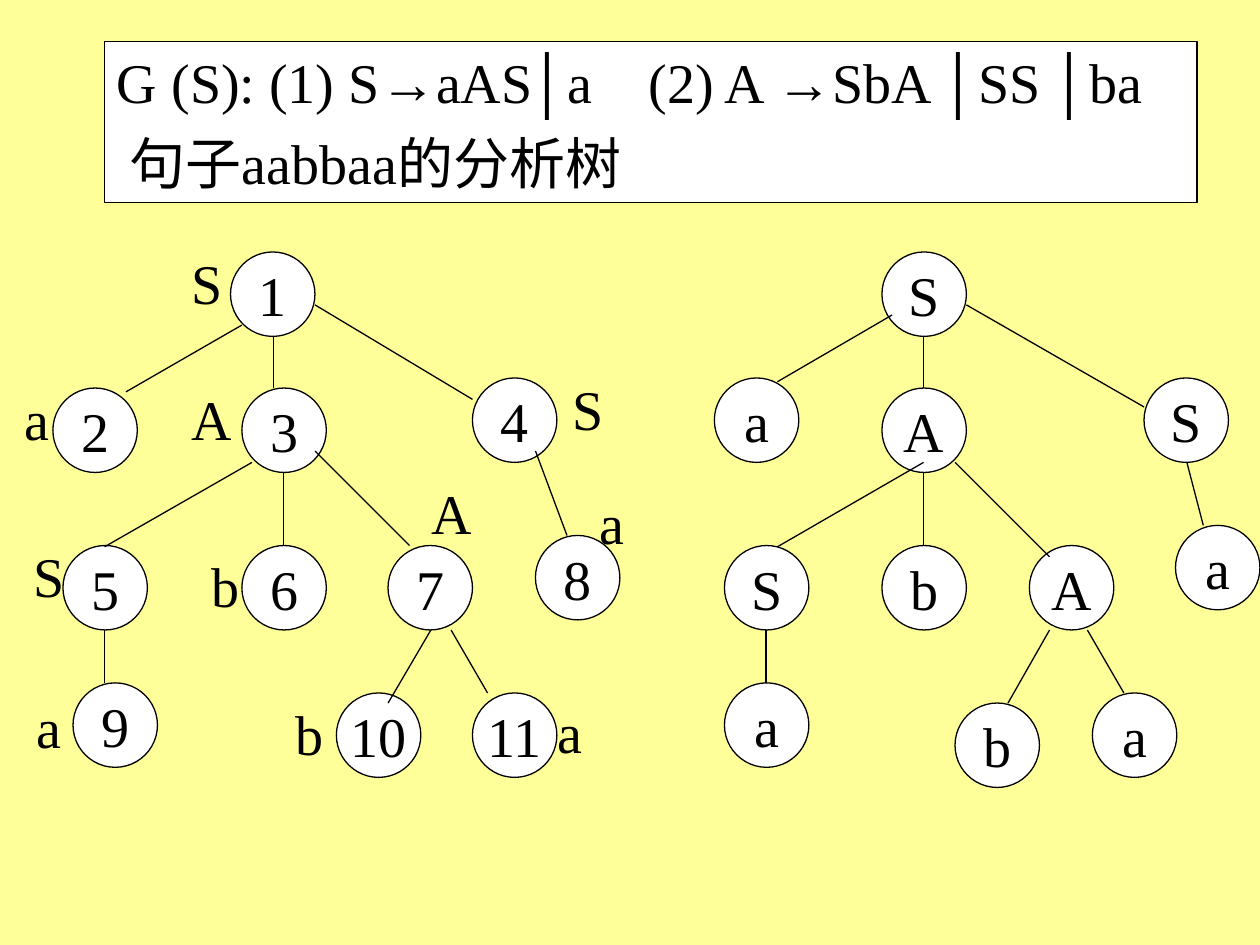
from pptx import Presentation
from pptx.dml.color import RGBColor
from pptx.enum.shapes import MSO_CONNECTOR, MSO_SHAPE
from pptx.enum.text import MSO_ANCHOR, MSO_AUTO_SIZE, PP_ALIGN
from pptx.oxml.ns import qn
from pptx.util import Inches, Pt
from lxml import etree

BLACK = RGBColor(0x00, 0x00, 0x00)
WHITE = RGBColor(0xFF, 0xFF, 0xFF)
CREAM = RGBColor(0xFF, 0xFF, 0x99)
OVAL, RECT = MSO_SHAPE.OVAL, MSO_SHAPE.RECTANGLE
LINE = MSO_CONNECTOR.STRAIGHT
LEFT, CENTER = PP_ALIGN.LEFT, PP_ALIGN.CENTER
TOP, MIDDLE = MSO_ANCHOR.TOP, MSO_ANCHOR.MIDDLE
GROW, FIXED = MSO_AUTO_SIZE.SHAPE_TO_FIT_TEXT, MSO_AUTO_SIZE.NONE
TIMES, ARIAL = "Times New Roman", "Arial"
SIZE = 0.67
STROKE = Pt(0.74)
FONT = {"size": Pt(32), "name": TIMES}
NODE = {"word_wrap": False, "vertical_anchor": MIDDLE, "auto_size": FIXED}
BOX = {"word_wrap": True, "vertical_anchor": TOP, "auto_size": GROW}

# Grammar rules: symbols are set in Arial, the rest in Times
SYMBOLS = "→│"
RULES = ["G (S): (1) S", "→", "aAS", "│", "a    (2) A ", "→", "SbA ", "│",
         "SS ", "│", "ba"]
TITLE = [" 句子aabbaa的分析树"]

# Numbered tree: (text, left, top), then (x1, y1, x2, y2)
NUM_NODES = [
    ("3", 1.92, 3.08), ("1", 1.83, 2), ("2", 0.42, 3.08), ("4", 3.75, 3),
    ("6", 1.92, 4.33), ("5", 0.5, 4.33), ("7", 3.08, 4.33), ("8", 4.25, 4.25),
    ("9", 0.58, 5.42), ("10", 2.67, 5.5), ("11", 3.75, 5.5)]
NUM_EDGES = [
    (2.17, 2.67, 2.17, 3.08), (1.92, 2.58, 1, 3.11), (2.5, 2.42, 3.75, 3.17),
    (2.25, 3.75, 2.25, 4.33), (2, 3.67, 0.83, 4.34), (2.5, 3.58, 3.25, 4.33),
    (0.83, 5, 0.83, 5.42), (4.25, 3.58, 4.5, 4.25), (3.42, 5, 3.08, 5.58),
    (3.58, 5, 3.87, 5.5)]

# Labels beside the numbered nodes: (text, left, top, width)
LABELS = [
    ("S", 1.42, 1.92, 0.33), ("a", 0, 3, 0.58), ("A", 1.42, 3, 0.33),
    ("S", 4.42, 2.92, 0.5), ("S", 0.17, 4.25, 0.42), ("b", 1.58, 4.33, 0.42),
    ("A", 3.33, 3.75, 0.5), ("a", 4.58, 3.83, 0.56), ("a", 0.19, 5.45, 0.4),
    ("b", 2.25, 5.5, 0.42), ("a", 4.3, 5.49, 0.45)]

# Symbol tree
SYM_NODES = [
    ("A", 7, 3.08), ("S", 7, 2), ("a", 5.67, 3), ("S", 9.08, 3),
    ("b", 7, 4.33), ("S", 5.75, 4.33), ("A", 8.17, 4.33), ("a", 9.33, 4.17),
    ("a", 5.75, 5.42), ("b", 7.58, 5.58), ("a", 8.67, 5.5)]
SYM_EDGES = [
    (7.33, 2.67, 7.33, 3.08), (7.08, 2.5, 6.17, 3.03), (7.67, 2.42, 9.08, 3.23),
    (7.33, 3.75, 7.33, 4.33), (7.33, 3.67, 6.17, 4.34), (7.58, 3.67, 8.33, 4.42),
    (6.08, 5, 6.08, 5.42), (8.33, 5, 8, 5.58), (8.63, 5, 8.92, 5.5),
    (9.42, 3.67, 9.55, 4.17)]


def apply(target, values):
    for name, value in values.items():
        setattr(target, name, value)


def stroke(line):
    line.color.rgb = BLACK
    line.width = STROKE


def write(shape, lines, frame, para):
    """Fill a shape with paragraphs, each a list of run texts."""
    text = shape.text_frame
    apply(text, frame)
    for i, runs in enumerate(lines):
        p = text.add_paragraph() if i else text.paragraphs[0]
        apply(p, para)
        for part in runs:
            run = p.add_run()
            run.text = part
            apply(run.font, FONT)
            run.font.color.rgb = BLACK
            if part in SYMBOLS:
                run.font.name = ARIAL


def add_shape(shapes, kind, place):
    shape = shapes.add_shape(kind, *map(Inches, place))
    shape.shadow.inherit = False
    shape.fill.solid()
    shape.fill.fore_color.rgb = WHITE
    stroke(shape.line)
    return shape


def add_edge(shapes, ends):
    edge = shapes.add_connector(LINE, *map(Inches, ends))
    stroke(edge.line)
    etree.SubElement(edge._element.spPr, qn("a:effectLst"))


def add_tree(shapes, nodes, edges):
    for text, x, y in nodes:
        node = add_shape(shapes, OVAL, (x, y, SIZE, SIZE))
        write(node, [[text]], NODE, {"alignment": CENTER})
    for ends in edges:
        add_edge(shapes, ends)


def add_label(shapes, text, x, y, width):
    label = shapes.add_textbox(*map(Inches, (x, y, width, 0.64)))
    write(label, [[text]], BOX, {"alignment": CENTER, "space_before": Pt(20)})


def main():
    deck = Presentation()
    apply(deck, {"slide_width": Inches(10), "slide_height": Inches(7.5)})
    slide = deck.slides.add_slide(deck.slide_layouts[6])
    slide.background.fill.solid()
    slide.background.fill.fore_color.rgb = CREAM
    shapes = slide.shapes

    # Heading
    head = add_shape(shapes, RECT, (0.83, 0.33, 8.67, 1.28))
    write(head, [RULES, TITLE], BOX,
          {"alignment": LEFT, "space_before": Pt(8)})

    # Numbered tree with its labels
    add_tree(shapes, NUM_NODES, NUM_EDGES)
    for label in LABELS:
        add_label(shapes, *label)

    # Symbol tree, kept as one group
    add_tree(shapes.add_group_shape().shapes, SYM_NODES, SYM_EDGES)

    deck.save("out.pptx")


main()
